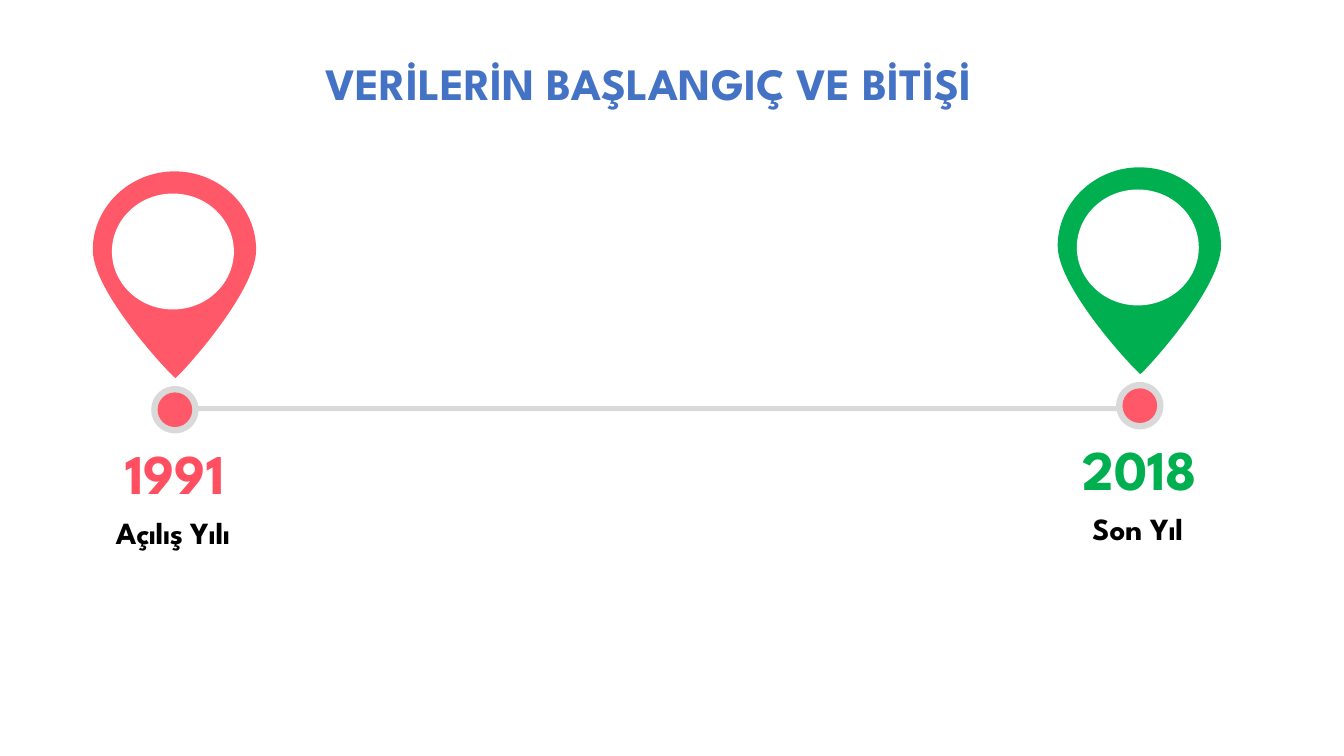
import lxml.etree
import pptx
import pptx.dml.color
import pptx.enum.shapes
import pptx.enum.text
import pptx.oxml.ns
import pptx.util

Inches = pptx.util.Inches
RGBColor = pptx.dml.color.RGBColor
qn = pptx.oxml.ns.qn
OVAL = pptx.enum.shapes.MSO_SHAPE.OVAL
BAR = pptx.enum.shapes.MSO_SHAPE.RECTANGLE

CORAL = RGBColor(0xFF, 0x59, 0x69)
YEAR_CORAL = RGBColor(0xFF, 0x4F, 0x60)
GREEN = RGBColor(0x00, 0xB0, 0x50)
BLUE = RGBColor(0x44, 0x72, 0xC4)
GREY = RGBColor(0xD9, 0xD9, 0xD9)
WHITE = RGBColor(0xFF, 0xFF, 0xFF)
BLACK = RGBColor(0x00, 0x00, 0x00)

# Content, back to front; a stop without a year is only a white disc
TITLE = "VERİLERİN BAŞLANGIÇ VE BİTİŞİ"
MILESTONES = [
    {"year": "1991", "label": "Açılış Yılı", "pin": CORAL, "year_color": YEAR_CORAL,
     "left": 1.5, "top": 3.83},
    {"year": None, "left": 6.38, "top": 3.83},
    {"year": "2018", "label": "Son Yıl", "pin": GREEN, "year_color": GREEN,
     "left": 11.07, "top": 3.79},
]

# Pin outline: start point, then Bezier curves (two controls and an end)
PIN_START = (0, 0.78)
PIN_CURVES = [
    ((0, 0.35), (0.37, 0), (0.81, 0)),
    ((1.26, 0), (1.62, 0.35), (1.62, 0.78)),
    ((1.62, 1.21), (0.84, 2.05), (0.82, 2.05)),
    ((0.8, 2.05), (0, 1.21), (0, 0.78)),
]

FONT = {"name": "League Spartan", "bold": True}
FRAME = {"word_wrap": True, "auto_size": pptx.enum.text.MSO_AUTO_SIZE.SHAPE_TO_FIT_TEXT}

deck = pptx.Presentation()
deck.slide_width, deck.slide_height = Inches(13.33), Inches(7.5)
slide = deck.slides.add_slide(deck.slide_layouts[6])


def paint(shape, color, outlined=False):
    shape.shadow.inherit = False
    shape.fill.solid()
    shape.fill.fore_color.rgb = color
    if outlined:
        shape.line.color.rgb = color
        shape.line.width = pptx.util.Pt(1)
    else:
        shape.line.fill.background()


def add_solid(kind, box, color, outlined=False):
    paint(slide.shapes.add_shape(kind, *map(Inches, box)), color, outlined)


def add_text(text, box, size, color):
    frame = slide.shapes.add_textbox(*map(Inches, box)).text_frame
    for key, value in FRAME.items():
        setattr(frame, key, value)
    paragraph = frame.paragraphs[0]
    paragraph.alignment = pptx.enum.text.PP_ALIGN.CENTER
    run = paragraph.add_run()
    run.text = text
    for key, value in {**FONT, "size": pptx.util.Pt(size)}.items():
        setattr(run.font, key, value)
    run.font.color.rgb = color


def add_pin(left, top, color):
    anchors = [PIN_START] + [curve[-1] for curve in PIN_CURVES]
    corners = [(Inches(left + x), Inches(top + y)) for x, y in anchors]
    builder = slide.shapes.build_freeform(*corners[0])
    builder.add_line_segments(corners[1:], close=True)
    pin = builder.convert_to_shape()
    paint(pin, color)
    # Turn each straight segment into a Bezier curve
    for segment, curve in zip(pin._element.xpath(".//a:lnTo"), PIN_CURVES):
        bezier = lxml.etree.Element(qn("a:cubicBezTo"))
        for x, y in curve:
            lxml.etree.SubElement(bezier, qn("a:pt"), x=str(Inches(x)), y=str(Inches(y)))
        segment.getparent().replace(segment, bezier)


# Milestones, each placed from the corner of its grey ring
for stop in MILESTONES:
    x, y = stop["left"], stop["top"]
    disc = (x - 0.39, y - 1.91, 1.21, 1.15)
    if not stop["year"]:
        add_solid(OVAL, disc, WHITE)
        continue
    add_solid(OVAL, (x, y, 0.47, 0.47), GREY)
    add_pin(x - 0.58, y - 2.13, stop["pin"])
    add_solid(OVAL, disc, WHITE)
    add_solid(OVAL, (x + 0.07, y + 0.07, 0.33, 0.33), CORAL, outlined=True)
    add_text(stop["year"], (x - 0.51, y + 0.47, 1.49, 0.77), 40, stop["year_color"])
    add_text(stop["label"], (x - 0.7, y + 1.22, 1.83, 0.47), 22, BLACK)

# Timeline bar and title
add_solid(BAR, (1.95, 4.03, 9.14, 0.05), GREY)
add_text(TITLE, (2.52, 0.5, 7.84, 0.64), 32, BLUE)

deck.save("out.pptx")
